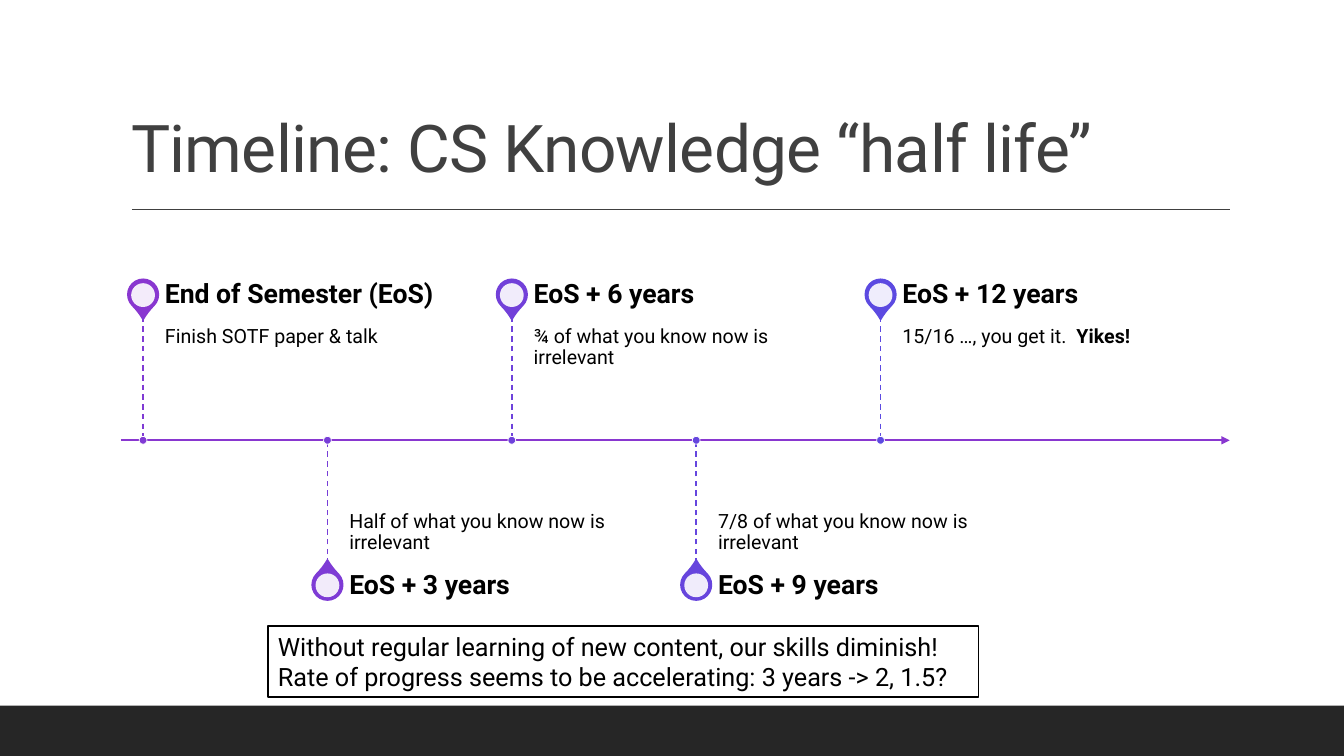
from lxml.etree import SubElement
from pptx import Presentation
from pptx.dml.color import RGBColor
from pptx.enum.dml import MSO_LINE
from pptx.enum.shapes import MSO_CONNECTOR, MSO_SHAPE
from pptx.enum.text import MSO_ANCHOR, MSO_AUTO_SIZE, PP_ALIGN
from pptx.oxml.ns import qn
from pptx.util import Pt

AXIS_Y = 314.5
FIRST_X, STEP_X = 102.2, 131.7
TEXT_GAP, TEXT_W = 15.6, 219.6
DETAIL_H, HEADING_H = 88.3, 31

# heading, detail runs as (text, bold), pin colour, stem colour
MILESTONES = [
    ("End of Semester (EoS)", [("Finish SOTF paper & talk", False)],
     "8937D0", "803BD4"),
    ("EoS + 3 years", [("Half of what you know now is irrelevant", False)],
     "7E3BD5", "773ED7"),
    ("EoS + 6 years", [("¾ of what you know now is irrelevant", False)],
     "7240D9", "6E42DB"),
    ("EoS + 9 years", [("7/8 of what you know now is irrelevant", False)],
     "6745DD", "6546DE"),
    ("EoS + 12 years", [("15/16 …, you get it.  ", False), ("Yikes!", True)],
     "5C4AE1", "5C4AE1"),
]


def rgb(hex_color):
    return RGBColor.from_string(hex_color)


def add_run(p, text, size=14, color="000000", bold=False):
    r = p.add_run()
    r.text = text
    r.font.name = "Roboto"
    r.font.size = Pt(size)
    r.font.bold = bold
    r.font.color.rgb = rgb(color)
    return r


def format_frame(tf, anchor=MSO_ANCHOR.TOP, insets=(7.2, 3.6, 7.2, 3.6)):
    tf.word_wrap = True
    tf.auto_size = MSO_AUTO_SIZE.NONE
    tf.vertical_anchor = anchor
    tf.margin_left, tf.margin_top, tf.margin_right, tf.margin_bottom = map(Pt, insets)


def add_text(s, x, y, w, h, paragraphs, size=14, spacing=None, **frame):
    """Each paragraph is a list of (text, bold) runs."""
    sp = s.shapes.add_textbox(Pt(x), Pt(y), Pt(w), Pt(h))
    tf = sp.text_frame
    format_frame(tf, **frame)
    for i, runs in enumerate(paragraphs):
        p = tf.add_paragraph() if i else tf.paragraphs[0]
        p.line_spacing = spacing
        for text, bold in runs:
            add_run(p, text, size=size, bold=bold)
    return sp


def add_line(s, x1, y1, x2, y2, color, width=1, dash=None, arrow=False):
    line = s.shapes.add_connector(MSO_CONNECTOR.STRAIGHT, Pt(x1), Pt(y1), Pt(x2), Pt(y2))
    line.line.color.rgb = rgb(color)
    line.line.width = Pt(width)
    if dash:
        line.line.dash_style = dash
    if arrow:
        SubElement(line.line._get_or_add_ln(), qn("a:tailEnd"), type="triangle")
    SubElement(line._element.spPr, qn("a:effectLst"))


def add_shape(s, kind, x, y, w, h, fill, line=None, width=1, alpha=None):
    sp = s.shapes.add_shape(kind, Pt(x), Pt(y), Pt(w), Pt(h))
    sp.shadow.inherit = False
    sp.fill.solid()
    sp.fill.fore_color.rgb = rgb(fill)
    if alpha:
        color = sp._element.spPr.find(qn("a:solidFill"))[0]
        SubElement(color, qn("a:alpha"), val=str(alpha * 1000))
    if line:
        sp.line.color.rgb = rgb(line)
        sp.line.width = Pt(width)
    else:
        sp.line.fill.background()
    return sp


def add_centred(s, kind, cx, cy, size, fill, **style):
    return add_shape(s, kind, cx - size / 2, cy - size / 2, size, size, fill, **style)


def add_title(s, text):
    title = s.shapes.title
    title.left, title.top, title.width, title.height = Pt(86.4), Pt(22.5), Pt(792), Pt(114.2)
    format_frame(title.text_frame, anchor=MSO_ANCHOR.BOTTOM)
    p = title.text_frame.paragraphs[0]
    p.alignment = PP_ALIGN.LEFT
    p.line_spacing = 0.9
    r = add_run(p, text, size=47, color="404040")
    r.font._element.set("spc", "-50")


def add_milestone(s, x, above, heading, detail, pin_color, stem_color):
    if above:
        pin_y, stem_y, rotation = 210.4, AXIS_Y - DETAIL_H, 135
        detail_y, heading_y = stem_y, stem_y - HEADING_H
        anchor, insets = MSO_ANCHOR.TOP, (0, 7.2, 7.2, 10.8)
    else:
        pin_y, stem_y, rotation = 417.7, AXIS_Y + DETAIL_H, 315
        detail_y, heading_y = AXIS_Y, stem_y
        anchor, insets = MSO_ANCHOR.BOTTOM, (0, 10.8, 0, 7.2)

    # Pin
    pin = add_centred(s, MSO_SHAPE.TEAR, x, pin_y, 21.7, pin_color,
                      line=pin_color, width=1.25)
    pin.rotation = rotation
    pin.adjustments[0] = 1.15
    add_centred(s, MSO_SHAPE.OVAL, x, pin_y + 0.4, 17, "FFFFFF", alpha=90)

    # Texts
    text_x = x + TEXT_GAP
    add_text(s, text_x, detail_y, TEXT_W, DETAIL_H, [detail],
             spacing=0.9, anchor=anchor, insets=insets)
    add_text(s, text_x, heading_y, TEXT_W, HEADING_H, [[(heading, True)]], size=19,
             spacing=0.9, anchor=MSO_ANCHOR.MIDDLE, insets=(0, 0, 9.4, 0))

    # Stem and its dot on the axis
    add_line(s, x, stem_y, x, AXIS_Y, stem_color, dash=MSO_LINE.DASH)
    add_centred(s, MSO_SHAPE.OVAL, x, AXIS_Y, 5.6, stem_color, line="FFFFFF", width=0.5)


def main():
    prs = Presentation()
    prs.slide_width, prs.slide_height = Pt(960), Pt(540)
    s = prs.slides.add_slide(prs.slide_layouts[5])

    # Title, rule and footer band
    add_title(s, "Timeline: CS Knowledge “half life”")
    add_line(s, 94.3, 149.5, 878.8, 149.5, "404040")
    add_shape(s, MSO_SHAPE.RECTANGLE, 0, 504, 960, 36, "262626")

    # Timeline, milestones alternating above and below
    add_line(s, 86.4, AXIS_Y, 878.4, AXIS_Y, "8937D0", width=1.5, arrow=True)
    for i, milestone in enumerate(MILESTONES):
        add_milestone(s, FIRST_X + i * STEP_X, i % 2 == 0, *milestone)

    # Conclusion
    box = add_text(s, 191.4, 447.2, 507.6, 50.9, [
        [("Without regular learning of new content, our skills diminish!", False)],
        [("Rate of progress seems to be accelerating: 3 years -> 2, 1.5?", False)],
    ], size=18)
    box.fill.solid()
    box.fill.fore_color.rgb = rgb("FFFFFF")
    box.line.color.rgb = rgb("000000")
    box.line.width = Pt(1.25)

    prs.save("out.pptx")


if __name__ == "__main__":
    main()
